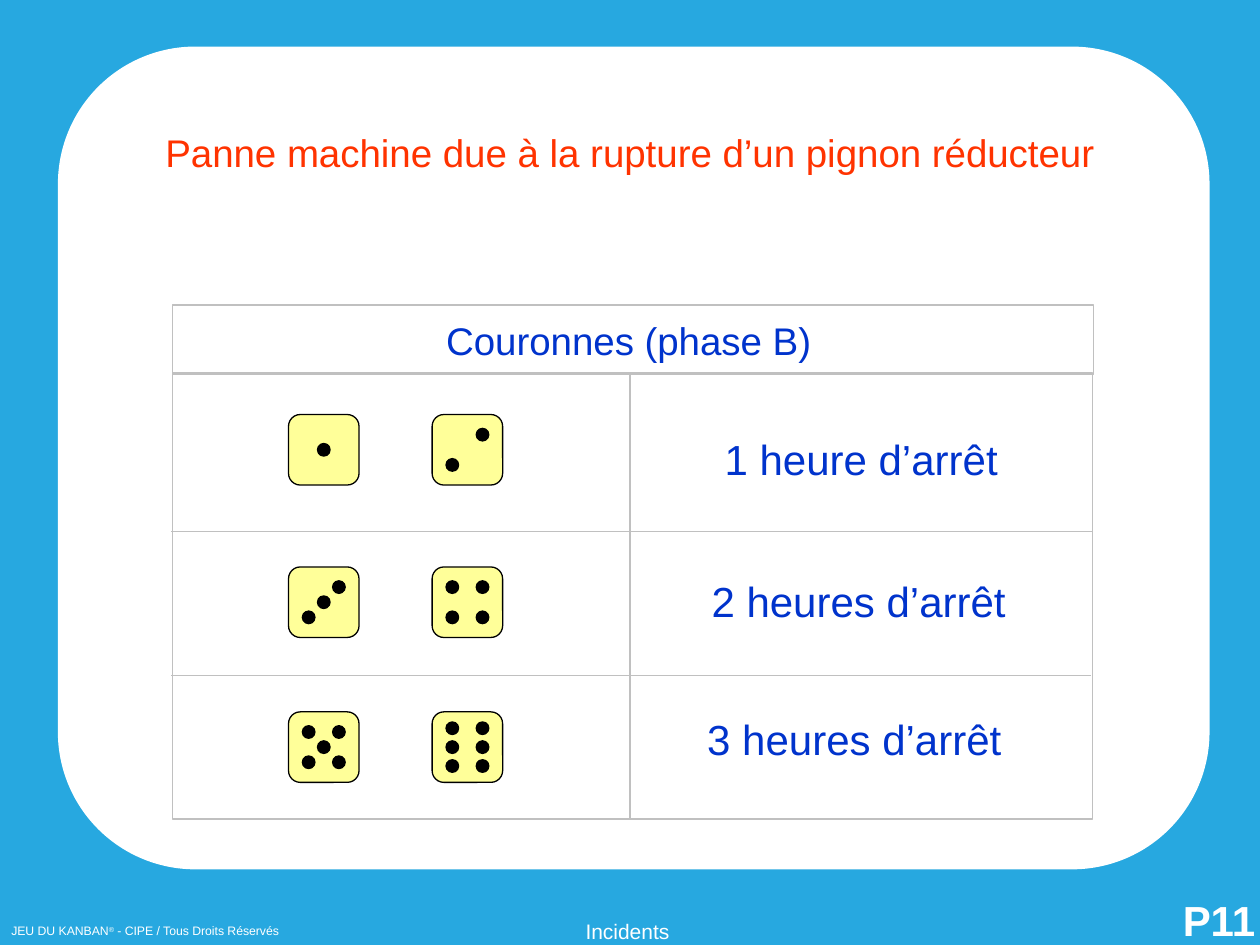
from lxml import etree
from pptx import Presentation
from pptx import util as u
from pptx.dml.color import RGBColor
from pptx.enum import shapes, text
from pptx.oxml.ns import qn

PX = 9144
THEME = {
    "font": "Arial",
    "blue": "27A8E0", "white": "FFFFFF", "grid": "C0C0C0", "die": "FFFF99",
    "black": "000000", "title": "FF3300", "label": "0033CC",
    "credit_size": 7, "footer_size": 12, "heading_size": 22, "body_size": 24,
}
KIND = shapes.MSO_SHAPE
ANCHOR = text.MSO_ANCHOR
ALIGN = text.PP_ALIGN


def add_outline(parent, kind, place, fill=None, line=None):
    shape = parent.shapes.add_shape(kind, *[v * PX for v in place])
    shape.shadow.inherit = False
    if fill:
        shape.fill.solid()
        shape.fill.fore_color.rgb = RGBColor.from_string(THEME[fill])
    else:
        shape.fill.background()
    if line:
        shape.line.color.rgb = RGBColor.from_string(THEME[line])
        shape.line.width = u.Pt(0.75)
    else:
        shape.line.fill.background()
    return shape


def add_label(place, pieces, size, color, align=ALIGN.CENTER, spacing=None,
              bold=None, margins=(10, 5, 10, 5), wrap=True, anchor=ANCHOR.TOP):
    box = page.shapes.add_textbox(*[v * PX for v in place])
    left, top, right, bottom = [v * PX for v in margins]
    frame_format = {
        "word_wrap": wrap, "vertical_anchor": anchor,
        "auto_size": text.MSO_AUTO_SIZE.SHAPE_TO_FIT_TEXT,
        "margin_left": left, "margin_top": top,
        "margin_right": right, "margin_bottom": bottom,
    }
    for name, value in frame_format.items():
        setattr(box.text_frame, name, value)
    para = box.text_frame.paragraphs[0]
    para.alignment = align
    para.line_spacing = spacing
    for piece in pieces:
        span = para.add_run()
        span.text = piece
        font_format = {"name": THEME["font"], "size": u.Pt(THEME[size]), "bold": bold}
        for name, value in font_format.items():
            setattr(span.font, name, value)
        span.font.color.rgb = RGBColor.from_string(THEME[color])
    return para


deck = Presentation()
deck.slide_width, deck.slide_height = 1000 * PX, 750 * PX
page = deck.slides.add_slide(deck.slide_layouts[6])
page.background.fill.solid()
page.background.fill.fore_color.rgb = RGBColor.from_string(THEME["blue"])

panel = add_outline(page, KIND.ROUNDED_RECTANGLE, (46, 37, 914, 653), "white")
panel.adjustments[0] = 0.167

add_label((429, 724, 138, 26), ["Incidents"], "footer_size", "white",
          margins=(10, 5, 10, 1), anchor=ANCHOR.BOTTOM)
credit = add_label((0, 729, 234, 21),
                   ["JEU DU KANBAN", "®", " - CIPE / Tous Droits Réservés"],
                   "credit_size", "white", align=ALIGN.LEFT,
                   margins=(9, 4, 9, 4), wrap=False)
credit.runs[1].font._element.set("baseline", "30000")
add_label((936, 709, 63, 42), ["P11"], "body_size", "white", bold=True,
          margins=(2, 1, 2, 1), wrap=False, anchor=ANCHOR.MIDDLE)

grid = page.shapes.add_group_shape()
for place in [(137, 296, 730, 354), (137, 242, 731, 55)]:
    add_outline(grid, KIND.RECTANGLE, place, line="grid")
for ends in [(136, 422, 867, 422), (136, 536, 866, 536), (500, 297, 500, 650)]:
    rule = grid.shapes.add_connector(shapes.MSO_CONNECTOR.STRAIGHT, *[v * PX for v in ends])
    rule.line.color.rgb = RGBColor.from_string(THEME["grid"])
    rule.line.width = u.Pt(0.75)
    etree.SubElement(rule._element.spPr, qn("a:effectLst"))

add_label((102, 94, 796, 50), ["Panne machine due à la rupture d’un pignon réducteur"],
          "heading_size", "title", spacing=1.1)
add_label((290, 243, 418, 50), ["Couronnes (phase B)"], "heading_size", "label", spacing=1.1)
for place, stop, spacing in [
    ((501, 339, 365, 50), "1 heure d’arrêt", None),
    ((500, 456, 363, 46), "2 heures d’arrêt", 0.9),
    ((504, 561, 348, 50), "3 heures d’arrêt", None),
]:
    add_label(place, [stop], "body_size", "label", spacing=spacing)

DIE, PIP = 56, 10
LOW, MID, HIGH = 11, 23, 35
CENTER = [(MID, MID)]
DIAGONAL = [(LOW, HIGH), (HIGH, LOW)]
CORNERS = DIAGONAL + [(LOW, LOW), (HIGH, HIGH)]
SIX = [(x, y) for x in (LOW, HIGH) for y in (8, MID, 38)]
FACES = [CENTER, DIAGONAL, DIAGONAL + CENTER, CORNERS, CORNERS + CENTER, SIX]
DIE_LEFTS, DIE_TOPS = (229, 343), (329, 450, 565)

for index, pips in enumerate(FACES):
    left, top = DIE_LEFTS[index % 2], DIE_TOPS[index // 2]
    die = page.shapes.add_group_shape()
    face = add_outline(die, KIND.ROUNDED_RECTANGLE, (left, top, DIE, DIE), "die", "black")
    face.adjustments[0] = 0.167
    for x, y in pips:
        add_outline(die, KIND.OVAL, (left + x, top + y, PIP, PIP), "black", "black")

deck.save("out.pptx")
